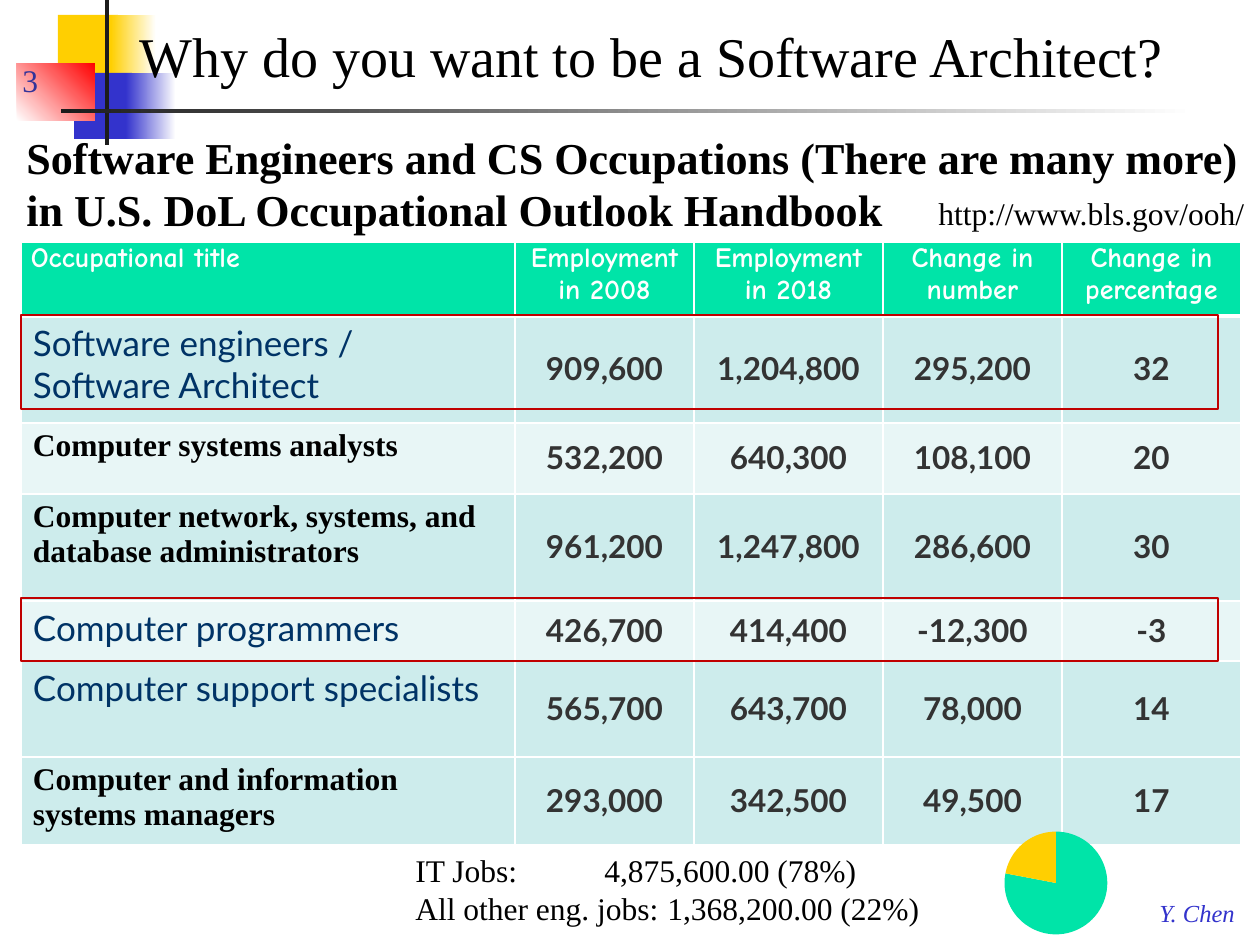
from lxml import etree
from pptx import Presentation
from pptx import util as u
from pptx.chart import data as chart_data
from pptx.dml import color as dml
from pptx.enum import chart as charts
from pptx.enum import shapes, text
from pptx.oxml import ns, parse_xml

SCALE = 914400 / 126
SERIF, SANS, COMIC = "Times New Roman", "Lato", "Comic Neue"
BLACK, WHITE, NAVY, DARK = "000000", "FFFFFF", "003366", "333333"
YELLOW, BLUE, RED, INK = "FFCF01", "3333CC", "FF0000", "1C1C1C"
GREEN, TEAL, PALE = "00E4A8", "CDECEC", "E8F6F6"


def px(value):
    return u.Emu(round(value * SCALE))


def rgb(value):
    return dml.RGBColor.from_string(value)


def write(frame, content, font=SERIF, size=18, color=BLACK, bold=False,
          italic=False, align=None, breaks=False):
    """Fill a text frame; each line is a paragraph, or a line break if breaks."""
    for number, line in enumerate([content] if breaks else content.split("\n")):
        para = frame.paragraphs[0] if number == 0 else frame.add_paragraph()
        para.alignment = align
        para.text = line.replace("\n", "\v")
        for span in para.runs:
            span.font.name = font
            span.font.size = u.Pt(size)
            span.font.bold = bold
            span.font.italic = italic
            span.font.color.rgb = rgb(color)


def set_borders(cell, widths):
    """Draw white borders, with widths in points by side, before the fill."""
    properties = cell._tc.get_or_add_tcPr()
    for side in "LRTB":
        line = etree.SubElement(properties, ns.qn(f"a:ln{side}"),
                                w=str(u.Pt(widths.get(side, 1))))
        fill = etree.SubElement(line, ns.qn("a:solidFill"))
        etree.SubElement(fill, ns.qn("a:srgbClr"), val=WHITE)


class Page:
    """The current slide and the ways to put elements on it."""

    def __init__(self, deck):
        self.shapes = deck.slides.add_slide(deck.slide_layouts[6]).shapes

    def rect(self, *place, fill=None, fade=None, angle=0, line=None):
        box = self.shapes.add_shape(shapes.MSO_SHAPE.RECTANGLE, *map(px, place))
        box.shadow.inherit = False
        if fade:
            box.fill.gradient()
            box.fill.gradient_angle = angle
            for stop, position, color in zip(box.fill.gradient_stops, (0, 1), fade):
                stop.position = position
                stop.color.rgb = rgb(color)
        elif fill:
            box.fill.solid()
            box.fill.fore_color.rgb = rgb(fill)
        else:
            box.fill.background()
        if line:
            box.line.color.rgb = rgb(line)
            box.line.width = u.Pt(1.5)
        else:
            box.line.fill.background()

    def label(self, content, *place, wrap=False, anchor=text.MSO_ANCHOR.TOP, **style):
        frame = self.shapes.add_textbox(*map(px, place)).text_frame
        frame.word_wrap = wrap
        frame.vertical_anchor = anchor
        write(frame, content, **style)

    def table(self, left, top, widths, heights, rows, fills, title_styles):
        """Add a table whose first row is the header and first column the titles."""
        grid = self.shapes.add_table(len(rows), len(widths), px(left), px(top),
                                     px(sum(widths)), px(sum(heights))).table
        for column, width in zip(grid.columns, widths):
            column.width = px(width)
        for r, (values, height) in enumerate(zip(rows, heights)):
            grid.rows[r].height = px(height)
            for c, value in enumerate(values):
                cell = grid.cell(r, c)
                set_borders(cell, {0: {"B": 3}, 1: {"T": 3}}.get(r, {}))
                cell.fill.solid()
                cell.fill.fore_color.rgb = rgb(fills[r])
                style = {"align": text.PP_ALIGN.CENTER if c else None}
                if r == 0:
                    margins = (10, 0, 10, 0)
                    style.update(font=COMIC, size=16, color=WHITE, bold=True)
                elif c == 0:
                    margins = (12, 6, 12, 6)
                    style.update(title_styles[r - 1])
                else:
                    margins = (2, 0, 2, 2)
                    cell.vertical_anchor = text.MSO_ANCHOR.MIDDLE
                    style.update(font=SANS, color=DARK, bold=True)
                (cell.margin_left, cell.margin_top,
                 cell.margin_right, cell.margin_bottom) = map(px, margins)
                write(cell.text_frame, value, **style)

    def pie(self, values, colors, *place):
        data = chart_data.CategoryChartData()
        data.categories = [str(n + 1) for n in range(len(values))]
        data.add_series("Series 1", values)
        chart = self.shapes.add_chart(charts.XL_CHART_TYPE.PIE,
                                      *map(px, place), data).chart
        chart.has_legend = chart.has_title = False
        chart.font.name = SERIF
        chart.font.size = u.Pt(10)
        chart.font.color.rgb = rgb(BLACK)
        plot = chart.plots[0]
        plot.vary_by_categories = True
        for n, color in enumerate(colors):
            wedge = plot.series[0].points[n].format
            wedge.fill.solid()
            wedge.fill.fore_color.rgb = rgb(color)
            wedge.line.fill.background()
        area = chart._chartSpace.find(".//" + ns.qn("c:plotArea"))
        for old in area.findall(ns.qn("c:layout")):
            area.remove(old)
        sizes = {"x": 0.17, "y": 0.12, "w": 0.66, "h": 0.74}
        area.insert(0, parse_xml(
            f'<c:layout {ns.nsdecls("c")}><c:manualLayout>'
            '<c:layoutTarget val="inner"/><c:xMode val="edge"/><c:yMode val="edge"/>'
            + "".join(f'<c:{key} val="{size}"/>' for key, size in sizes.items())
            + "</c:manualLayout></c:layout>"))


def main():
    deck = Presentation()
    deck.slide_width, deck.slide_height = px(1260), px(945)
    page = Page(deck)

    page.rect(58, 15, 60, 66, fill=YELLOW)
    page.rect(111, 15, 45, 66, fade=(YELLOW, WHITE))
    page.rect(74, 73, 58, 66, fill=BLUE)
    page.rect(126, 73, 50, 66, fade=(BLUE, WHITE))
    page.rect(17, 63, 78, 58, fade=(WHITE, RED), angle=45)
    page.rect(105, 0, 4, 145, fill=INK)
    page.rect(61, 109, 1134, 4, fade=(INK, WHITE))

    page.label("Y. Chen", 1147, 892, 103, 42, size=14, color=BLUE, italic=True)
    page.label("Software Engineers and CS Occupations (There are many more)\n"
               "in U.S. DoL Occupational Outlook Handbook", 14, 137, 1246, 105,
               wrap=True, anchor=text.MSO_ANCHOR.BOTTOM, size=25.2, bold=True,
               breaks=True)
    page.label("3", 10, 42, 116, 63, wrap=True, anchor=text.MSO_ANCHOR.BOTTOM,
               color="333399")

    rows = [
        ("Occupational title", "Employment in 2008", "Employment in 2018",
         "Change in number", "Change in percentage"),
        ("Software engineers /\nSoftware Architect",
         "909,600", "1,204,800", "295,200", "32"),
        ("Computer systems analysts", "532,200", "640,300", "108,100", "20"),
        ("Computer network, systems, and database administrators",
         "961,200", "1,247,800", "286,600", "30"),
        ("Computer programmers", "426,700", "414,400", "-12,300", "-3"),
        ("Computer support specialists", "565,700", "643,700", "78,000", "14"),
        ("Computer and information systems managers",
         "293,000", "342,500", "49,500", "17"),
    ]
    large = {"font": SANS, "size": 20, "color": NAVY}
    strong = {"bold": True}
    page.table(21, 242, (494, 179, 189, 179, 179), (74, 107, 71, 107, 60, 96, 88),
               rows, (GREEN, TEAL, PALE, TEAL, PALE, TEAL, TEAL),
               (large, strong, strong, large, large, strong))
    for top, height in ((315, 94), (598, 63)):
        page.rect(21, top, 1197, height, line="C00000")

    page.label("http://www.bls.gov/ooh/", 926, 188, 334, 50)
    page.label("Why do you want to be a Software Architect?", 127, 15, 1060, 81,
               size=32)
    page.label("IT Jobs: \t\t4,875,600.00 (78%)\n"
               "All other eng. jobs: \t1,368,200.00 (22%)", 403, 845, 534, 89)
    page.pie((78, 22), (GREEN, YELLOW), 978, 815, 156, 139)
    deck.save("out.pptx")


if __name__ == "__main__":
    main()
